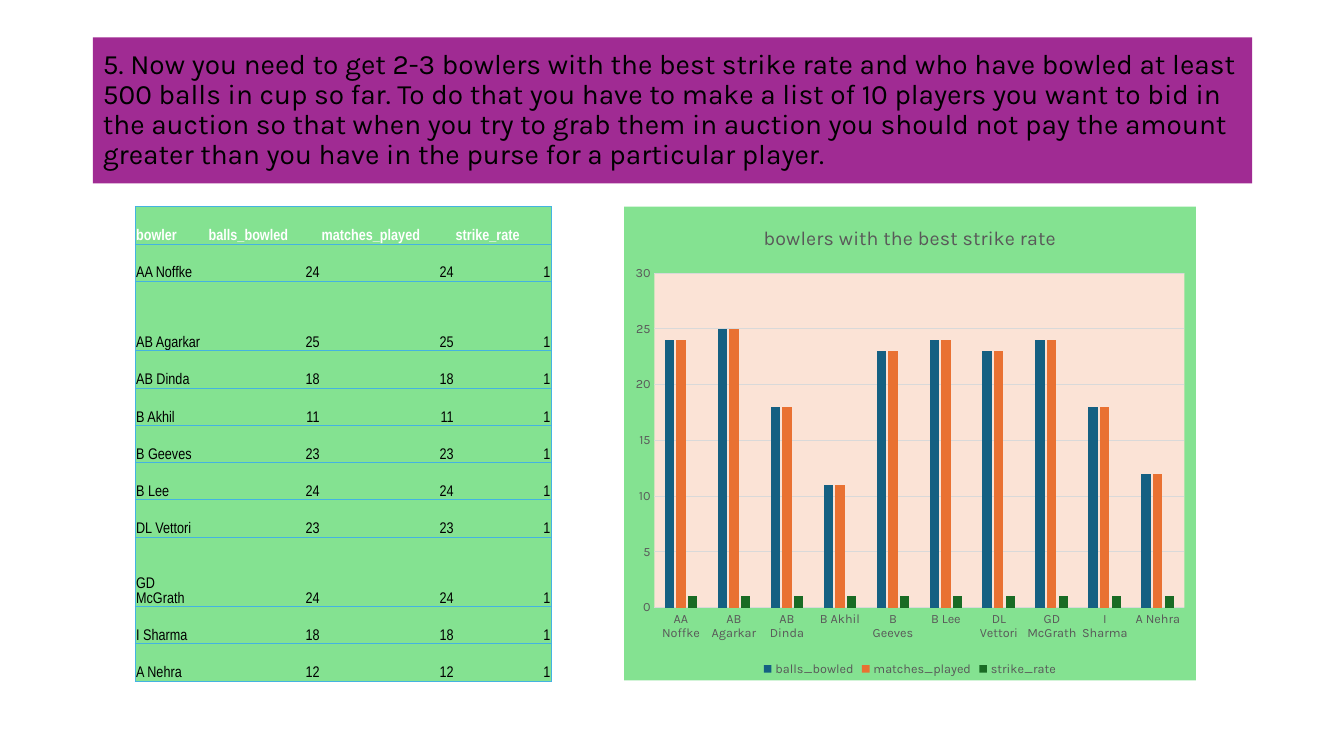
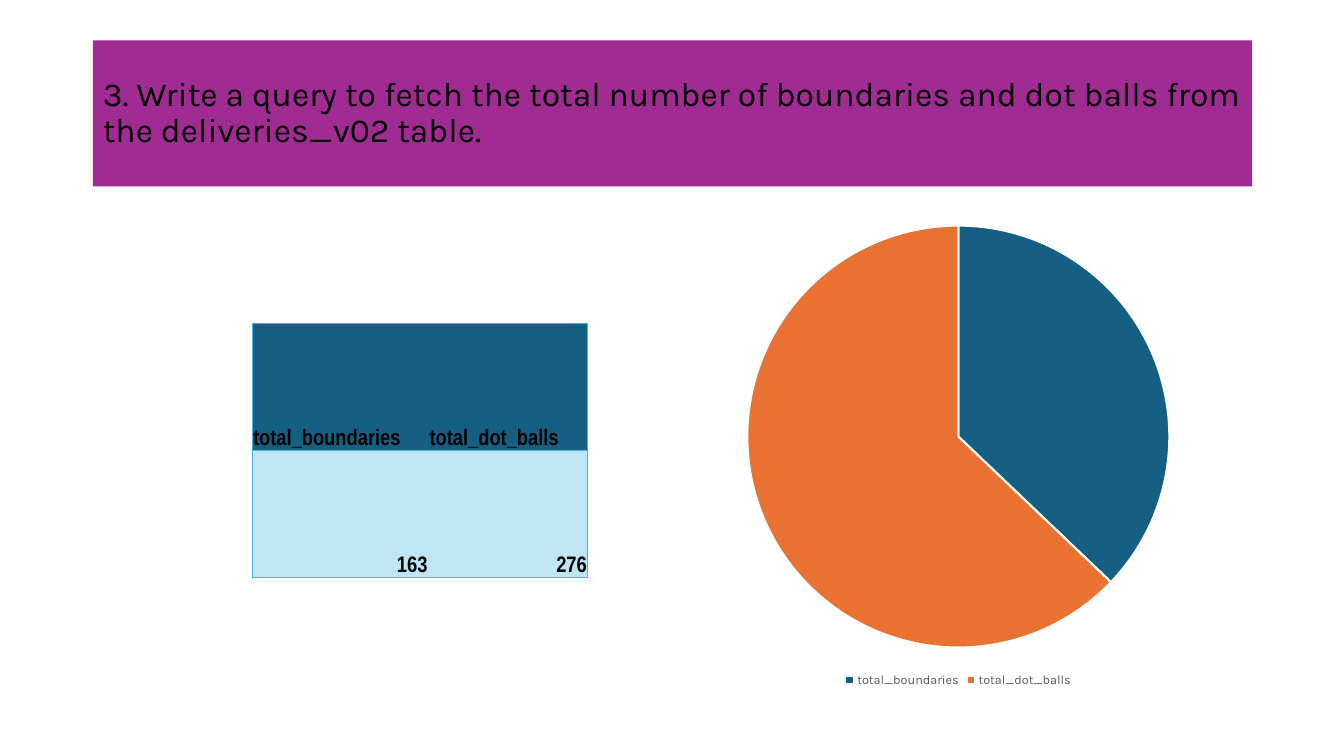
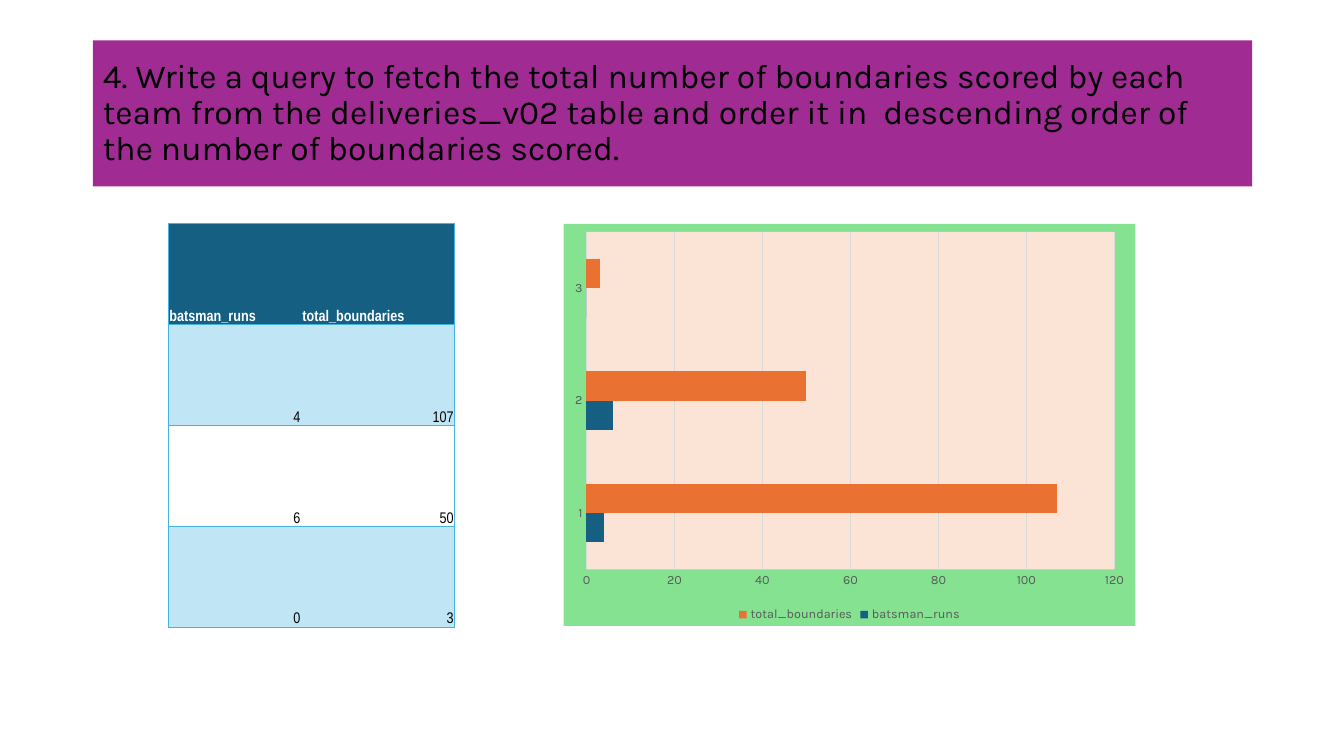
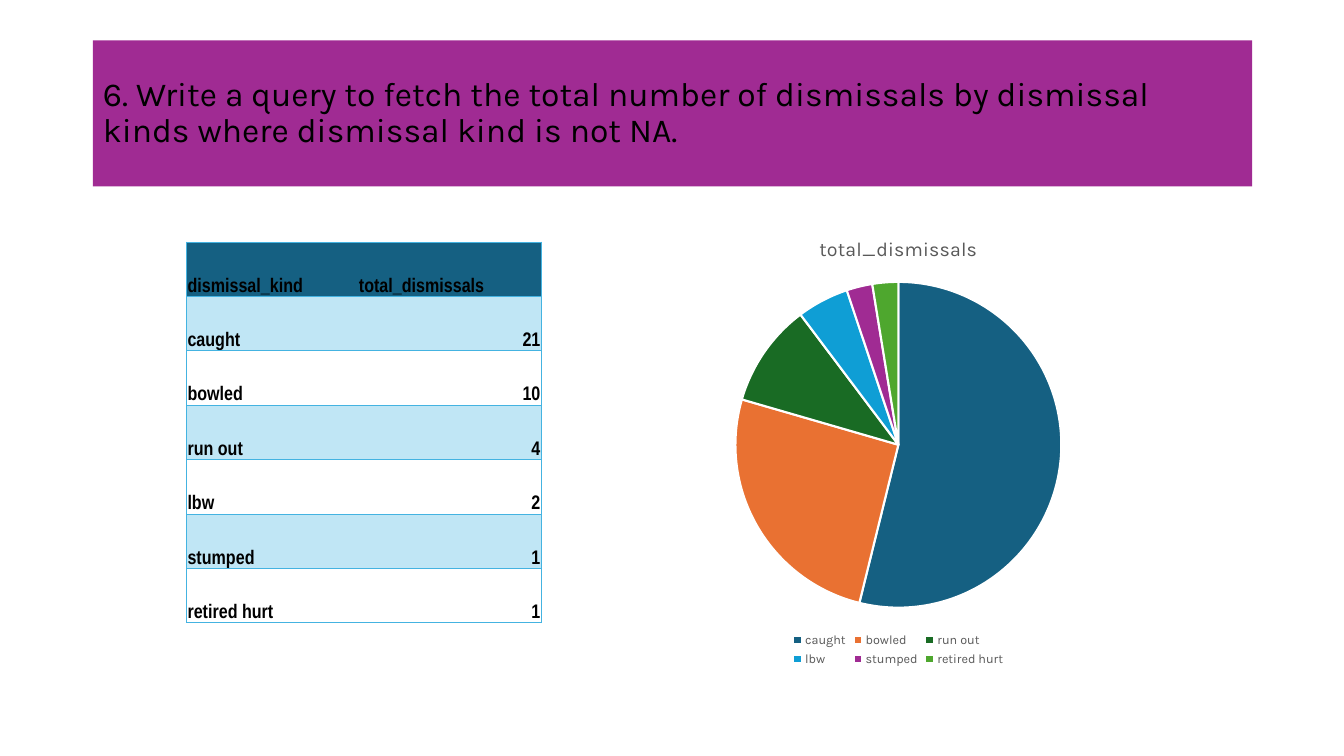
from pptx import Presentation
from pptx import util as u
from pptx.chart.data import CategoryChartData
from pptx.dml.color import RGBColor
from pptx.enum import chart as ch, text as tx
from pptx.oxml import parse_xml
from pptx.oxml.ns import nsdecls

BLACK, WHITE, GREY, RULE = "000000", "FFFFFF", "595959", "D9D9D9"
BAND, EDGE, GREEN, PEACH = "A02B93", "44B3E1", "84E291", "FBE3D6"
NAVY, PALE = "156082", "C0E6F5"
SERIES = [NAVY, "E97132", "196B24", "0F9ED5", BAND, "4EA72E"]
HEAD_FONT, CELL_FONT = "Karla", "Arial Narrow"
KINDS = ch.XL_CHART_TYPE


def rgb(code):
    return RGBColor.from_string(code)


def style(font, name, size, color, bold=False):
    font.name, font.size, font.bold = name, u.Pt(size), bold
    font.color.rgb = rgb(color)


def paint(fill, color):
    """Fill with a colour, or with nothing if there is none."""
    if color:
        fill.solid()
        fill.fore_color.rgb = rgb(color)
    else:
        fill.background()


def rule(line, color, width=0.75):
    line.width = u.Pt(width)
    line.color.rgb = rgb(color)


def inches(box):
    return [u.Inches(n) for n in box]


def add_title(slide, words, size=24, top=0.4):
    title = slide.shapes.title
    title.left, title.top, title.width, title.height = inches(
        (0.92, top, 11.5, 1.45))
    paint(title.fill, BAND)
    frame = title.text_frame
    frame.text = words
    frame.auto_size = tx.MSO_AUTO_SIZE.NONE
    frame.vertical_anchor = tx.MSO_ANCHOR.MIDDLE
    para = frame.paragraphs[0]
    para.alignment, para.line_spacing = tx.PP_ALIGN.LEFT, 0.9
    style(para.runs[0].font, HEAD_FONT, size, BLACK)


def edge_cell(cell, sides):
    """Draw the given sides (of L, R, T, B) and clear the others."""
    for place, side in enumerate("LRTB"):
        ink = (f'<a:solidFill><a:srgbClr val="{EDGE}"/></a:solidFill>'
               if side in sides else "<a:noFill/>")
        cell._tc.get_or_add_tcPr().insert(place, parse_xml(
            f'<a:ln{side} {nsdecls("a")} w="6350">{ink}</a:ln{side}>'))


def add_grid(slide, at, cols, heights, rows, fills, size, head=BLACK,
             bold=False):
    """Table whose fills are those of the head, odd and even rows."""
    box = inches((*at, sum(cols), sum(heights)))
    shape = slide.shapes.add_table(len(rows), len(cols), *box)
    table = shape.table
    table.first_row = table.horz_banding = False
    table._tbl.tblPr.find("{*}tableStyleId").text = (
        "{2D5ABB26-0587-4C30-8999-92F81FD0307C}")
    for col, width in zip(table.columns, cols):
        col.width = u.Inches(width)
    for r, (row, height) in enumerate(zip(rows, heights)):
        table.rows[r].height = u.Inches(height)
        fill = fills[0] if r == 0 else fills[2 - r % 2]
        for c, value in enumerate(row):
            cell = table.cell(r, c)
            cell.margin_left = cell.margin_right = u.Inches(0.01)
            cell.margin_top, cell.margin_bottom = u.Inches(0.01), 0
            cell.vertical_anchor = tx.MSO_ANCHOR.BOTTOM
            paint(cell.fill, fill)
            edge_cell(cell, "TB" + "L" * (c == 0)
                      + "R" * (c == len(cols) - 1))
            para = cell.text_frame.paragraphs[0]
            para.text = str(value)
            if isinstance(value, int):
                para.alignment = tx.PP_ALIGN.RIGHT
            style(para.runs[0].font, CELL_FONT, size,
                  BLACK if r else head, bold or r == 0)


def area_fill(color):
    ink = (f'<a:solidFill><a:srgbClr val="{color}"/></a:solidFill>'
           if color else "<a:noFill/>")
    return parse_xml(f'<c:spPr {nsdecls("c", "a")}>{ink}'
                     '<a:ln><a:noFill/></a:ln></c:spPr>')


def add_chart(slide, box, kind, cats, series, title=None, back=None,
              plot_back=None):
    data = CategoryChartData()
    data.categories = cats
    for name, values in series.items():
        data.add_series(name, values)
    chart = slide.shapes.add_chart(kind, *inches(box), data).chart
    style(chart.font, HEAD_FONT, 10, BLACK)
    chart.has_title = bool(title)
    if title:
        chart.chart_title.text_frame.text = title
        chart.chart_title.include_in_layout = False
        run = chart.chart_title.text_frame.paragraphs[0].runs[0]
        style(run.font, HEAD_FONT, 14, GREY)
    chart.has_legend = True
    chart.legend.position = ch.XL_LEGEND_POSITION.BOTTOM
    chart.legend.include_in_layout = False
    style(chart.legend.font, HEAD_FONT, 9, GREY)
    root = chart._chartSpace
    root.find("{*}txPr").addprevious(area_fill(back))
    root.chart.plotArea.append(area_fill(plot_back))
    return chart


def add_bars(slide, box, kind, cats, series, gap, overlap=0, title=None):
    chart = add_chart(slide, box, kind, cats, series, title, GREEN, PEACH)
    plot = chart.plots[0]
    plot.vary_by_categories = False
    plot.gap_width, plot.overlap = gap, overlap
    for line, color in zip(plot.series, SERIES):
        paint(line.format.fill, color)
        line.invert_if_negative = False
    for axis in (chart.category_axis, chart.value_axis):
        axis.major_tick_mark = axis.minor_tick_mark = ch.XL_TICK_MARK.NONE
        style(axis.tick_labels.font, HEAD_FONT, 9, GREY)
    rule(chart.category_axis.format.line, RULE)
    chart.value_axis.format.line.fill.background()
    rule(chart.value_axis.major_gridlines.format.line, RULE)


def add_pie(slide, box, cats, name, values, title=None):
    chart = add_chart(slide, box, KINDS.PIE, cats, {name: values}, title)
    plot = chart.plots[0]
    plot.vary_by_categories = True
    for i in range(len(cats)):
        look = plot.series[0].points[i].format
        paint(look.fill, SERIES[i])
        rule(look.line, WHITE, 1.5)


def bowlers(slide):
    add_title(
        slide, "5. Now you need to get 2-3 bowlers with the best strike rate "
        "and who have bowled at least 500 balls in cup so far. To do that you "
        "have to make a list of 10 players you want to bid in the auction so "
        "that when you try to grab them in auction you should not pay the "
        "amount greater than you have in the purse for a particular player.",
        20, 0.37)
    names = ["AA Noffke", "AB Agarkar", "AB Dinda", "B Akhil", "B Geeves",
             "B Lee", "DL Vettori", "GD McGrath", "I Sharma", "A Nehra"]
    balls = [24, 25, 18, 11, 23, 24, 23, 24, 18, 12]
    rates = [1] * len(names)
    heads = ["bowler", "balls_bowled", "matches_played", "strike_rate"]
    tall = ("AB Agarkar", "GD McGrath")
    heights = [0.37] + [0.69 if n in tall else 0.37 for n in names]
    add_grid(slide, (1.34, 2.05), [0.72, 1.12, 1.33, 0.96], heights,
             [heads, *zip(names, balls, balls, rates)], [GREEN] * 3, 11, WHITE)
    add_bars(slide, (6.19, 2.05, 5.67, 4.7), KINDS.COLUMN_CLUSTERED, names,
             dict(zip(heads[1:], (balls, balls, rates))), 219, -27,
             "bowlers with the best strike rate")


def balls(slide):
    add_title(slide, "3. Write a query to fetch the total number of "
              "boundaries and dot balls from the deliveries_v02 table.")
    heads, totals = ["total_boundaries", "total_dot_balls"], [163, 276]
    add_pie(slide, (6.67, 2.1, 5.67, 4.76), heads, "Series 1", totals)
    add_grid(slide, (2.5, 3.21), [1.75, 1.58], [1.26] * 2, [heads, totals],
             [NAVY, PALE, None], 16, bold=True)


def teams(slide):
    add_title(slide, "4. Write a query to fetch the total number of "
              "boundaries scored by each team from the deliveries_v02 table "
              "and order it in  descending order of the number of boundaries "
              "scored.")
    heads, runs, totals = (["batsman_runs", "total_boundaries"],
                           [4, 6, 0], [107, 50, 3])
    add_grid(slide, (1.67, 2.22), [1.32, 1.52], [1] * 4,
             [heads, *zip(runs, totals)], [NAVY, PALE, None], 11, WHITE)
    add_bars(slide, (5.59, 2.22, 5.67, 3.99), KINDS.BAR_CLUSTERED,
             ["1", "2", "3"], dict(zip(heads, (runs, totals))), 182)


def outs(slide):
    add_title(slide, "6. Write a query to fetch the total number of "
              "dismissals by dismissal kinds where dismissal kind is not NA.")
    kinds = ["caught", "bowled", "run out", "lbw", "stumped", "retired hurt"]
    totals = [21, 10, 4, 2, 1, 1]
    heads = ["dismissal_kind", "total_dismissals"]
    add_pie(slide, (6.34, 2.17, 5.14, 4.48), kinds, heads[1], totals, heads[1])
    add_grid(slide, (1.85, 2.4), [1.7, 1.82], [0.54] * 7,
             [heads, *zip(kinds, totals)], [NAVY, PALE, None], 14, bold=True)


def main():
    deck = Presentation()
    deck.slide_width, deck.slide_height = inches((13.33, 7.5))
    for build in (bowlers, balls, teams, outs):
        build(deck.slides.add_slide(deck.slide_layouts[5]))
    deck.save("out.pptx")


if __name__ == "__main__":
    main()
